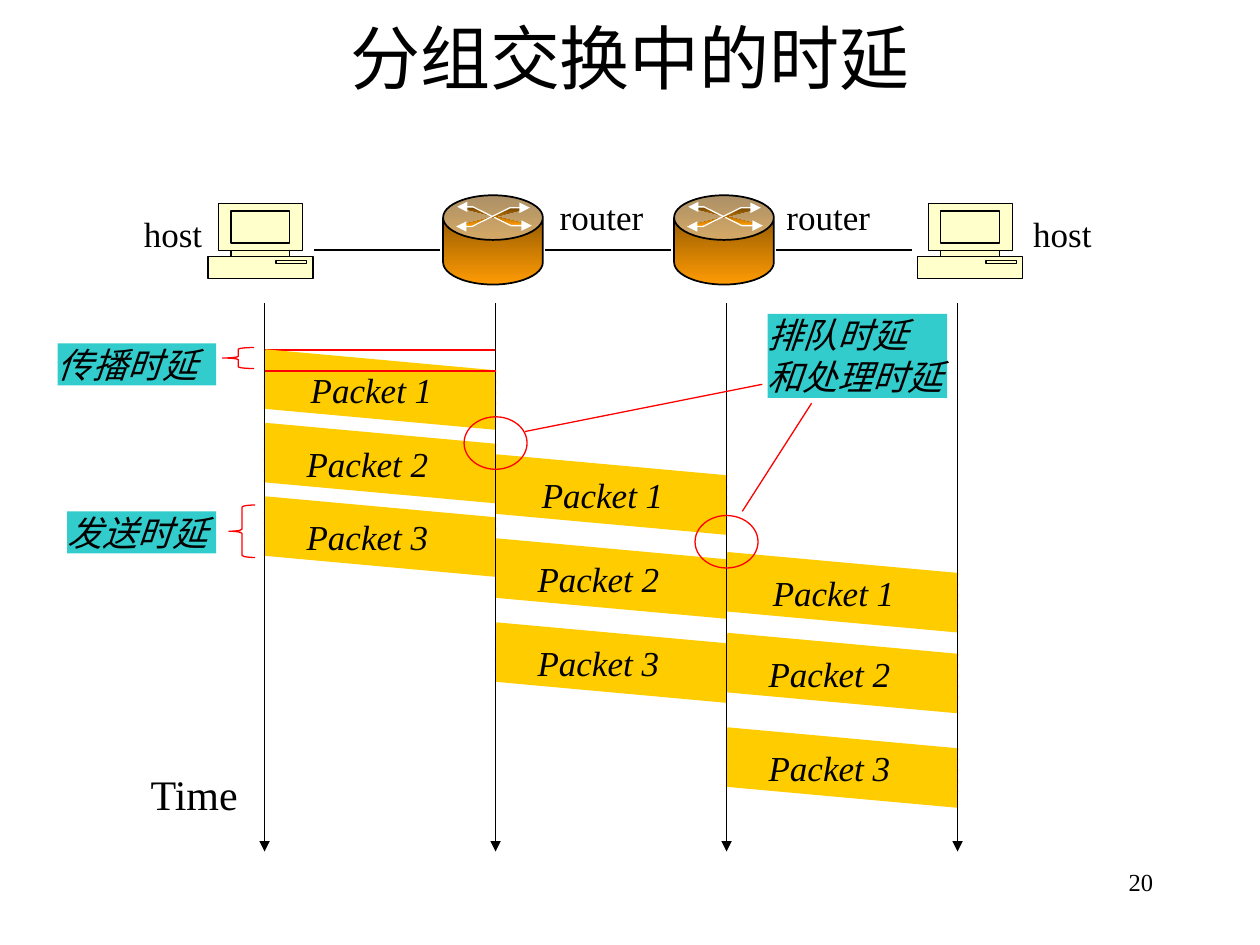
from lxml import etree
from pptx import Presentation
from pptx import util as u
from pptx.dml.color import RGBColor
from pptx.enum import shapes, text
from pptx.oxml import ns

BLACK = RGBColor(0x00, 0x00, 0x00)
WHITE = RGBColor(0xFF, 0xFF, 0xFF)
RED = RGBColor(0xFF, 0x00, 0x00)
YELLOW = RGBColor(0xFF, 0xCC, 0x00)
CREAM = RGBColor(0xFF, 0xFF, 0xCC)
TEAL = RGBColor(0x33, 0xCC, 0xCC)
BROWN = RGBColor(0x75, 0x47, 0x01)
ORANGE = RGBColor(0xFE, 0x9B, 0x03)

FONT = "Times New Roman"
CELL = u.Inches(1) / 12
FIRST_AXIS, AXIS_STEP = 25.2, 22
AXES = [FIRST_AXIS + AXIS_STEP * i for i in range(4)]
AXIS_TOP, AXIS_BOTTOM = 28.9, 81.1
SLOPE, STRIPES = 2, 5
PACKET_ROWS = [(34.1, 41.1, 48.1), (44.1, 52.1, 60.1), (53.4, 61.1, 70.1)]


def grid(*cells):
    return [round(c * CELL) for c in cells]


def inner(box, x, y, w=0, h=0):
    left, top, width, height = box
    return left + x * width, top + y * height, w * width, h * height


def add_arrowheads(line, *ends):
    ln = line._get_or_add_ln()
    for end in ends:
        etree.SubElement(ln, ns.qn(f"a:{end}"), type="triangle")


def style(sp, line=None, width=0.75, fill=None):
    sp.shadow.inherit = False
    if fill is None:
        sp.fill.background()
    else:
        sp.fill.solid()
        sp.fill.fore_color.rgb = fill
    if line is None:
        sp.line.fill.background()
    else:
        sp.line.color.rgb = line
        sp.line.width = u.Pt(width)
    return sp


def add_preset(parent, kind, box, **look):
    return style(parent.shapes.add_shape(kind, *grid(*box)), **look)


def add_path(parent, points, closed, **look):
    start, *rest = [grid(*p) for p in points]
    builder = parent.shapes.build_freeform(*start)
    builder.add_line_segments(rest, close=closed)
    return style(builder.convert_to_shape(), **look)


def add_line(s, start, end, color=BLACK, width=0.75):
    c = s.shapes.add_connector(shapes.MSO_CONNECTOR.STRAIGHT, *grid(*start, *end))
    c.line.color.rgb = color
    c.line.width = u.Pt(width)
    etree.SubElement(c._element.spPr, ns.qn("a:effectLst"))
    return c


def write(sp, words, size=20, italic=False, align=text.PP_ALIGN.LEFT,
          anchor=text.MSO_ANCHOR.TOP, inset=(0, 0), wrap=True):
    tf = sp.text_frame
    tf.word_wrap = wrap
    tf.vertical_anchor = anchor
    tf.margin_left = tf.margin_right = u.Inches(inset[0])
    tf.margin_top = tf.margin_bottom = u.Inches(inset[1])
    tf.text = words
    for p in tf.paragraphs:
        p.alignment = align
        for r in p.runs:
            r.font.name = FONT
            r.font.size = u.Pt(size)
            r.font.italic = italic
            r.font.color.rgb = BLACK


def add_label(s, box, words, **options):
    write(s.shapes.add_textbox(*grid(*box)), words, **options)


def add_delay_note(s, box, words):
    write(add_preset(s, shapes.MSO_SHAPE.RECTANGLE, box, fill=TEAL), words, italic=True)


def paint_gradient(sp):
    sp.fill.gradient()
    sp.fill.gradient_angle = 270
    for stop, color in zip(sp.fill.gradient_stops, (BROWN, ORANGE)):
        stop.color.rgb = color


def add_host(s, box):
    host = s.shapes.add_group_shape()
    outline = [(0.78, 0.71), (0.78, 0.63), (0.9, 0.63), (0.9, 0), (0.1, 0), (0.1, 0.63),
               (0.22, 0.63), (0.22, 0.71), (0, 0.71), (0, 1), (1, 1), (1, 0.71)]
    look = dict(line=BLACK, fill=CREAM)
    add_path(host, [inner(box, *p)[:2] for p in outline], True, **look)
    stand, screen, drive = (0.22, 0.63, 0.56, 0.08), (0.22, 0.1, 0.56, 0.43), (0.65, 0.76, 0.29, 0.04)
    for part in (stand, screen, drive):
        add_preset(host, shapes.MSO_SHAPE.RECTANGLE, inner(box, *part), **look)


def add_router(s, box):
    router = s.shapes.add_group_shape()
    body = add_preset(router, shapes.MSO_SHAPE.CAN, box, line=BLACK, width=1)
    body.adjustments[0] = 0.5
    paint_gradient(body)
    falling = [(0.14, 0.13), (0.3, 0.13), (0.68, 0.34), (0.89, 0.34)]
    rising = [(0.13, 0.35), (0.29, 0.35), (0.67, 0.14), (0.87, 0.14)]
    for route in (falling, rising):
        arrow = add_path(router, [inner(box, *p)[:2] for p in route], False, line=WHITE)
        paint_gradient(arrow)
        add_arrowheads(arrow.line, "headEnd", "tailEnd")


def add_packet(s, box, number):
    left, top, width, height = box
    for i in range(STRIPES):
        y = top + i * height / STRIPES
        add_line(s, (left, y), (left + width, y + SLOPE), YELLOW, 10)
    indent = 4.4 if number == 1 else 4
    add_label(s, (left + indent, top + 1, 11.8, 4), f"Packet {number}", italic=True, wrap=False)


def add_timing(s):
    left, right = AXES[:2]
    add_line(s, (left, 33.36), (right, 33.36), RED, 1)
    for axis, rows in zip(AXES, PACKET_ROWS):
        for number, row in enumerate(rows, 1):
            add_packet(s, (axis, row, AXIS_STEP, STRIPES), number)
    for axis in AXES:
        timeline = add_line(s, (axis, AXIS_TOP), (axis, AXIS_BOTTOM))
        add_arrowheads(timeline.line, "tailEnd")
    add_line(s, (left, 35.36), (right, 35.36), RED, 1)
    add_label(s, (13.1, 72.6, 10.8, 6), "Time", size=24, align=text.PP_ALIGN.CENTER,
              inset=(0.1, 0.05), wrap=False)


def add_network(s):
    for start, end in [(29.9, 41.9), (51.9, 63.9), (73.9, 86.9)]:
        add_line(s, (start, 23.8), (end, 23.8), width=1.5)
    for host_left, label_left in [(19.8, 13.7), (87.4, 98.4)]:
        add_host(s, (host_left, 19.4, 10, 7.1))
        add_label(s, (label_left, 20.2, 6, 4), "host", wrap=False)
    for axis, label_left in zip(AXES[1:3], (53.3, 74.9)):
        add_router(s, (axis - 5, 18.6, 9.5, 8.5))
        add_label(s, (label_left, 18.6, 9.5, 4), "router")


def add_delays(s):
    add_line(s, (50, 41.1), (72.6, 36.6), RED)
    add_line(s, (70.7, 48.7), (77.3, 38.4), RED)
    for axis, top in zip(AXES[1:3], (39.7, 49.1)):
        add_preset(s, shapes.MSO_SHAPE.OVAL, (axis - 3, top, 6, 5), line=RED)
    for brace in [(21.2, 33.1, 3, 2), (21.8, 48.1, 2.5, 5)]:
        add_preset(s, shapes.MSO_SHAPE.LEFT_BRACE, brace, line=RED)
    add_delay_note(s, (73.1, 29.9, 17.1, 8), "排队时延\n和处理时延")
    add_delay_note(s, (5.5, 32.7, 15.1, 4), "传播时延")
    add_delay_note(s, (6.4, 48.7, 14.2, 4), "发送时延")


def main():
    prs = Presentation()
    prs.slide_width, prs.slide_height = u.Inches(10), u.Inches(7.5)
    s = prs.slides.add_slide(prs.slide_layouts[6])
    add_label(s, (9, 0.6, 102, 9.5), "分组交换中的时延", size=40, align=text.PP_ALIGN.CENTER,
              anchor=text.MSO_ANCHOR.MIDDLE, inset=(0.1, 0.05))
    add_timing(s)
    add_delays(s)
    add_network(s)
    add_label(s, (86, 82, 25, 6), "20", size=14, align=text.PP_ALIGN.RIGHT, inset=(0.1, 0.05))
    prs.save("out.pptx")


if __name__ == "__main__":
    main()
